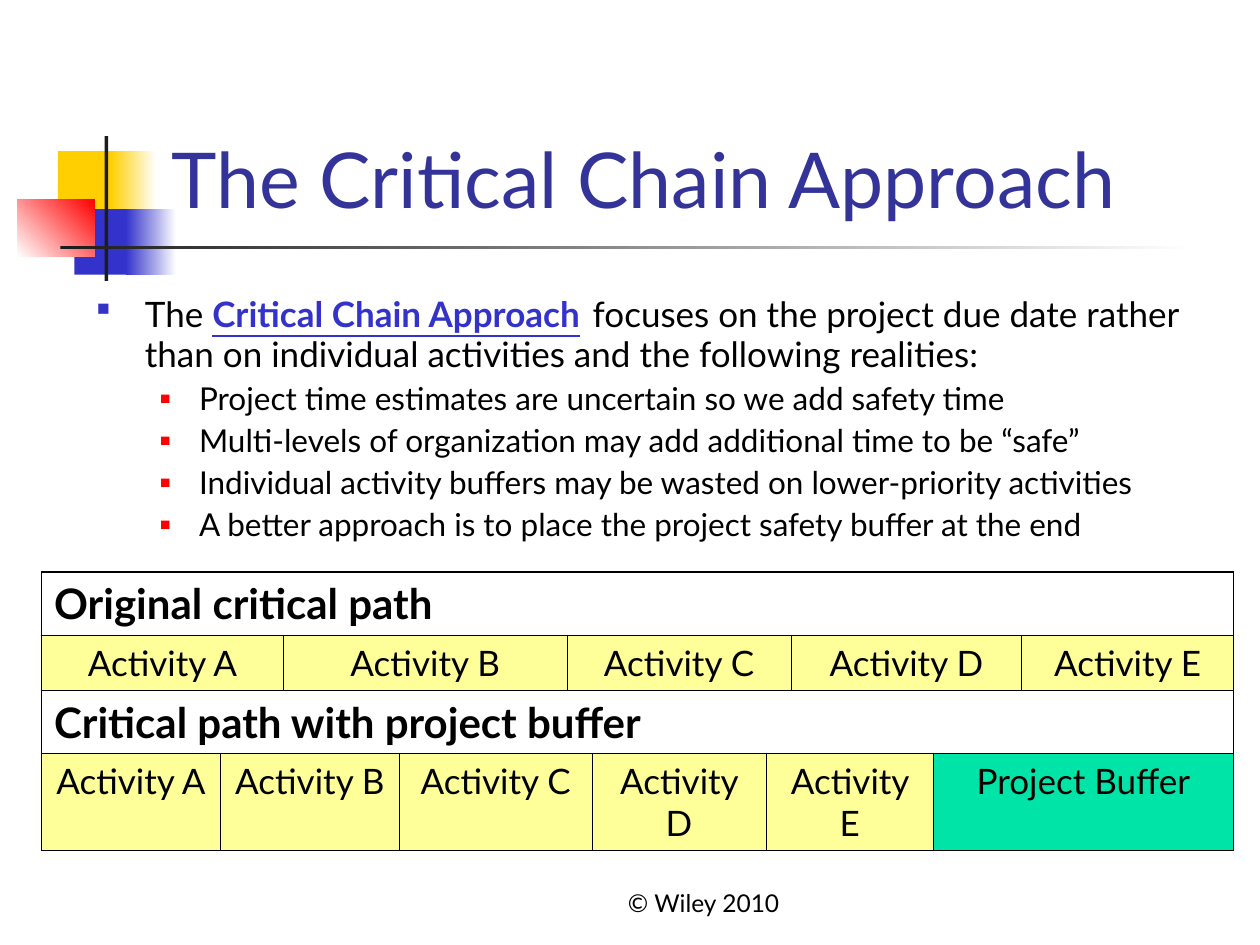
from lxml import etree
from pptx import Presentation
from pptx.dml.color import RGBColor
from pptx.enum.shapes import MSO_SHAPE
from pptx.enum.text import MSO_ANCHOR, MSO_AUTO_SIZE, PP_ALIGN
from pptx.oxml.ns import qn
from pptx.util import Inches, Pt

FONT = "Lato"
BLACK, WHITE, BLUE, RED, GOLD, CHARCOAL = "000000", "FFFFFF", "3333CC", "FF0000", "FFCF01", "1C1C1C"
NAVY, YELLOW, GREEN = "333399", "FFFF99", "00E4A8"
NO_STYLE = "{2D5ABB26-0587-4C30-8999-92F81FD0307C}"

TITLE = "The Critical Chain Approach"
COPYRIGHT = "© Wiley 2010"
DEFINITION = [
    ("The ", {"size": Pt(20)}, BLACK),
    ("Critical Chain Approach", {"size": Pt(20), "bold": True, "underline": True}, BLUE),
    (" ", {"size": Pt(28)}, BLACK),
    ("focuses on the project due date rather than on individual activities "
     "and the following realities:", {"size": Pt(20)}, BLACK),
]
REALITIES = [
    "Project time estimates are uncertain so we add safety time",
    "Multi-levels of organization may add additional time to be “safe”",
    "Individual activity buffers may be wasted on lower-priority activities",
    "A better approach is to place the project safety buffer at the end",
]
ORNAMENT = [
    ((0.46, 1.2, 0.48, 0.52), (GOLD,), 0),
    ((0.88, 1.2, 0.36, 0.52), (GOLD, WHITE), 0),
    ((0.59, 1.66, 0.46, 0.52), (BLUE,), 0),
    ((1, 1.66, 0.4, 0.52), (BLUE, WHITE), 0),
    ((0.14, 1.58, 0.61, 0.46), (WHITE, RED), 45),
    ((0.83, 1.08, 0.03, 1.15), (CHARCOAL,), 0),
    ((0.48, 1.95, 9, 0.03), (CHARCOAL, WHITE), 0),
]
COLUMN_WIDTHS = [1.42, 0.5, 0.92, 1.33, 0.2, 1.38, 0.2, 1.13, 0.7, 1.68]
ROW_HEIGHTS = [0.5, 0.44, 0.5, 0.77]
PATH_ROWS = [
    [("Original critical path", 10)],
    [("Activity A", 2), ("Activity B", 2), ("Activity C", 3), ("Activity D", 2), ("Activity E", 1)],
    [("Critical path with project buffer", 10)],
    [("Activity A", 1), ("Activity B", 2), ("Activity C", 2), ("Activity D", 1),
     ("Activity E", 2), ("Project Buffer", 2)],
]
OUTER, INNER = 1.08, 0.45


def paint(color_format, color):
    """Set a colour from a hex string."""
    color_format.rgb = RGBColor.from_string(color)


def apply(target, values):
    """Set each named attribute of the target."""
    for name, value in values.items():
        setattr(target, name, value)


def place(part, left, top, width, height):
    """Move and size a part in inches."""
    apply(part, {"left": Inches(left), "top": Inches(top),
                 "width": Inches(width), "height": Inches(height)})


def write(paragraph, text, values, color=BLACK):
    """Add a formatted run to a paragraph."""
    run = paragraph.add_run()
    run.text = text
    apply(run.font, {"name": FONT, "bold": False, **values})
    paint(run.font.color, color)


def add_bullet(paragraph, color, percent, margin, hanging):
    """Give a paragraph a coloured square bullet and a hanging indent."""
    properties = paragraph._p.get_or_add_pPr()
    properties.set("marL", str(Inches(margin)))
    properties.set("indent", str(-Inches(hanging)))
    bullet_color = etree.SubElement(properties, qn("a:buClr"))
    etree.SubElement(bullet_color, qn("a:srgbClr"), val=color)
    etree.SubElement(properties, qn("a:buSzPct"), val=str(percent * 1000))
    etree.SubElement(properties, qn("a:buChar"), char="■")


def add_borders(cell, widths):
    """Draw the black cell sides with widths in points."""
    properties = cell._tc.get_or_add_tcPr()
    for side, width in widths.items():
        line = etree.SubElement(properties, qn(f"a:ln{side}"), w=str(Pt(width)))
        solid = etree.SubElement(line, qn("a:solidFill"))
        etree.SubElement(solid, qn("a:srgbClr"), val=BLACK)


def add_ornament(slide):
    """Draw the overlapping blocks and rules beside the title."""
    for box, colors, angle in ORNAMENT:
        block = slide.shapes.add_shape(MSO_SHAPE.RECTANGLE, *map(Inches, box))
        block.shadow.inherit = False
        block.line.fill.background()
        if len(colors) == 1:
            block.fill.solid()
            paint(block.fill.fore_color, colors[0])
        else:
            block.fill.gradient()
            block.fill.gradient_angle = angle
            for stop, color in zip(block.fill.gradient_stops, colors):
                paint(stop.color, color)


def add_copyright(slide):
    """Add the copyright line at the foot."""
    footer = slide.shapes.add_textbox(*map(Inches, (4, 6.83, 3.17, 0.5)))
    apply(footer.text_frame, {"word_wrap": True, "vertical_anchor": MSO_ANCHOR.BOTTOM})
    line = footer.text_frame.paragraphs[0]
    line.alignment = PP_ALIGN.CENTER
    write(line, COPYRIGHT, {"size": Pt(14)})


def fill_title(title):
    """Place and write the title."""
    place(title, 1.26, 0.23, 8.52, 1.6)
    apply(title.text_frame, {"vertical_anchor": MSO_ANCHOR.BOTTOM, "auto_size": MSO_AUTO_SIZE.NONE})
    heading = title.text_frame.paragraphs[0]
    heading.alignment = PP_ALIGN.LEFT
    write(heading, TITLE, {"size": Pt(44)}, NAVY)


def fill_body(body):
    """Place and write the definition and its realities."""
    place(body, 0.67, 2.21, 9.13, 2.17)
    body.text_frame.auto_size = MSO_AUTO_SIZE.NONE
    definition = body.text_frame.paragraphs[0]
    add_bullet(definition, BLUE, 60, 0.38, 0.38)
    apply(definition, {"line_spacing": 0.9, "space_before": Pt(0)})
    for text, values, color in DEFINITION:
        write(definition, text, values, color)
    for text in REALITIES:
        reality = body.text_frame.add_paragraph()
        add_bullet(reality, RED, 55, 0.81, 0.31)
        apply(reality, {"level": 1, "line_spacing": 0.9, "space_before": Pt(4.5)})
        write(reality, text, {"size": Pt(18)})


def add_paths(slide):
    """Add the table that compares the two critical paths."""
    rows, columns = len(ROW_HEIGHTS), len(COLUMN_WIDTHS)
    paths = slide.shapes.add_table(rows, columns, Inches(0.33), Inches(4.54),
                                   Inches(sum(COLUMN_WIDTHS)), Inches(sum(ROW_HEIGHTS))).table
    apply(paths, {"first_row": False, "horz_banding": False})
    paths._tbl.tblPr.find(qn("a:tableStyleId")).text = NO_STYLE
    for column, width in zip(paths.columns, COLUMN_WIDTHS):
        column.width = Inches(width)
    for row, height in zip(paths.rows, ROW_HEIGHTS):
        row.height = Inches(height)
    for r, entries in enumerate(PATH_ROWS):
        start = 0
        for text, span in entries:
            end = start + span
            cell = paths.cell(r, start)
            if span > 1:
                cell.merge(paths.cell(r, end - 1))
            add_borders(cell, {"L": INNER if start else OUTER,
                               "R": OUTER if end == columns else INNER,
                               "T": INNER if r else OUTER,
                               "B": OUTER if r == rows - 1 else INNER})
            is_heading = span == columns
            if is_heading:
                cell.fill.background()
            else:
                cell.fill.solid()
                paint(cell.fill.fore_color, GREEN if text == "Project Buffer" else YELLOW)
            label = cell.text_frame.paragraphs[0]
            label.alignment = PP_ALIGN.LEFT if is_heading else PP_ALIGN.CENTER
            write(label, text, {"size": Pt(24 if is_heading else 20), "bold": is_heading})
            start = end


def main():
    """Build the slide and save it."""
    deck = Presentation()
    apply(deck, {"slide_width": Inches(10), "slide_height": Inches(7.5)})
    slide = deck.slides.add_slide(deck.slide_layouts[1])
    title, body = slide.placeholders
    add_ornament(slide)
    add_copyright(slide)
    fill_title(title)
    fill_body(body)
    for part in (title, body):
        slide.shapes._spTree.append(part._element)
    add_paths(slide)
    deck.save("out.pptx")


if __name__ == "__main__":
    main()
